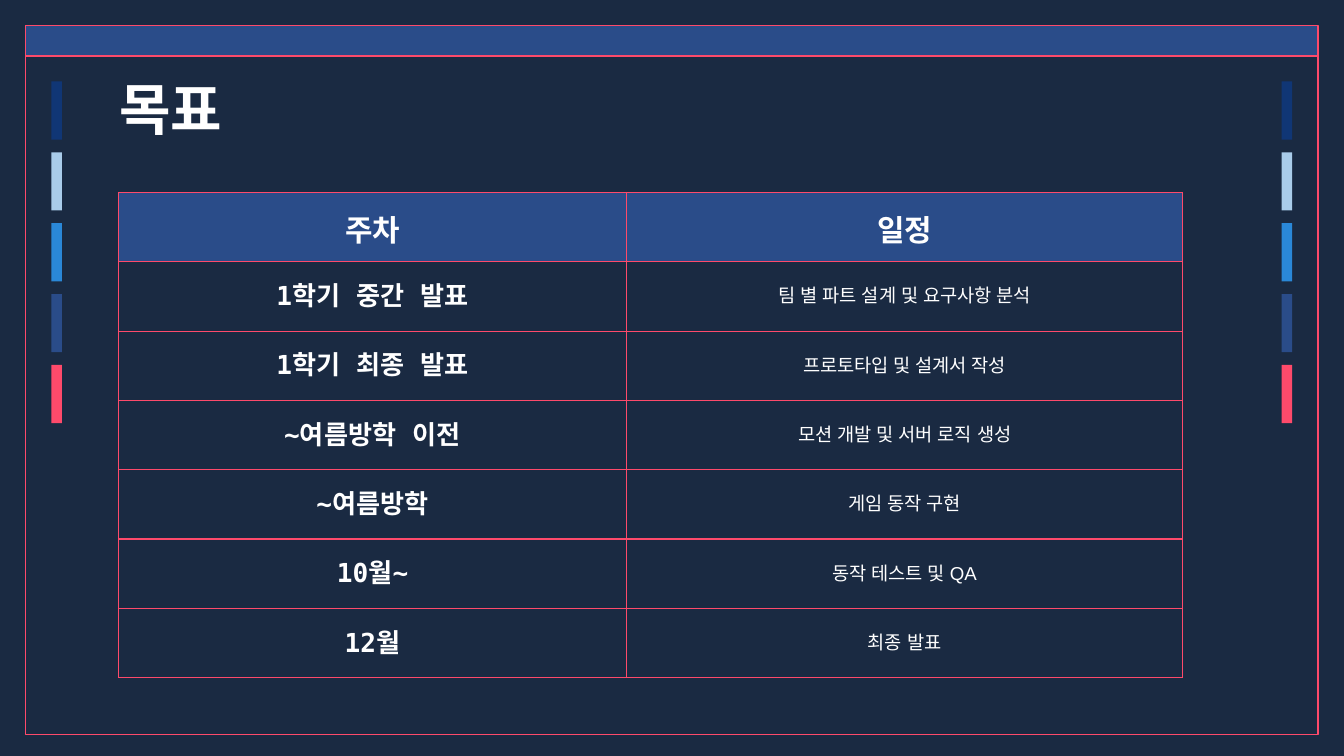
"""Build the project goals slide with its schedule table."""
import dataclasses

import lxml.etree
import pptx
import pptx.dml.color
import pptx.enum.shapes
import pptx.enum.text
import pptx.oxml.ns
import pptx.util
from pptx.util import Cm


@dataclasses.dataclass(frozen=True)
class Theme:
    background: str = "1A2A42"
    header: str = "2A4C89"
    line: str = "FE4A6B"
    text: str = "FFFFFF"
    bars: tuple = ("103675", "A9CCEA", "2A88D8", "2A4C89", "FE4A6B")
    heading_font: str = "DejaVu Sans Mono"
    body_font: str = "Arial"
    title_size: int = 30
    header_size: int = 16
    period_size: int = 14
    body_size: int = 10
    line_width: float = 0.75


theme = Theme()
color = pptx.dml.color.RGBColor.from_string


def add_rectangle(left, top, width, height, fill, line=None):
    shape = slide.shapes.add_shape(
        pptx.enum.shapes.MSO_SHAPE.RECTANGLE, Cm(left), Cm(top), Cm(width), Cm(height)
    )
    shape.shadow.inherit = False
    shape.fill.solid()
    shape.fill.fore_color.rgb = color(fill)
    if line:
        shape.line.color.rgb = color(line)
        shape.line.width = pptx.util.Pt(theme.line_width)
    else:
        shape.line.fill.background()


def write(text_frame, text, size, font, bold, alignment):
    paragraph = text_frame.paragraphs[0]
    paragraph.alignment = alignment
    run = paragraph.add_run()
    run.text = text
    run.font.size = pptx.util.Pt(size)
    run.font.name = font
    run.font.bold = bold
    run.font.color.rgb = color(theme.text)
    lxml.etree.SubElement(run._r.get_or_add_rPr(), pptx.oxml.ns.qn("a:ea"), typeface=font)


presentation = pptx.Presentation()
presentation.slide_width = Cm(25.4)
presentation.slide_height = Cm(14.29)
slide = presentation.slides.add_slide(presentation.slide_layouts[5])
slide.background.fill.solid()
slide.background.fill.fore_color.rgb = color(theme.background)

add_rectangle(0.48, 0.97, 24.43, 12.92, theme.background, theme.line)
add_rectangle(0.48, 0.48, 24.43, 0.58, theme.header, theme.line)
for left in (0.97, 24.22):
    for index, bar_color in enumerate(theme.bars):
        add_rectangle(left, 1.54 + 1.34 * index, 0.2, 1.1, bar_color)

title = slide.shapes.title
slide.shapes._spTree.append(title._element)
title.left, title.top, title.width, title.height = Cm(2), Cm(1.25), Cm(21.4), Cm(1.6)
title_frame = title.text_frame
title_frame.auto_size = pptx.enum.text.MSO_AUTO_SIZE.NONE
title_frame.vertical_anchor = pptx.enum.text.MSO_ANCHOR.MIDDLE
title_frame.margin_left = title_frame.margin_right = Cm(0.25)
title_frame.margin_top = title_frame.margin_bottom = Cm(0.25)
write(title_frame, "목표", theme.title_size, theme.heading_font, True,
      pptx.enum.text.PP_ALIGN.LEFT)

schedule = [
    ("주차", "일정"),
    ("1학기 중간 발표", "팀 별 파트 설계 및 요구사항 분석"),
    ("1학기 최종 발표", "프로토타입 및 설계서 작성"),
    ("~여름방학 이전", "모션 개발 및 서버 로직 생성"),
    ("~여름방학", "게임 동작 구현"),
    ("10월~", "동작 테스트 및 QA"),
    ("12월", "최종 발표"),
]
column_widths = (9.6, 10.51)
row_height = 1.31
table = slide.shapes.add_table(
    len(schedule), len(column_widths), Cm(2.24), Cm(3.64),
    Cm(sum(column_widths)), Cm(row_height * len(schedule)),
).table
table.first_row = table.horz_banding = False
for column, width in zip(table.columns, column_widths):
    column.width = Cm(width)

for row_index, entries in enumerate(schedule):
    table.rows[row_index].height = Cm(row_height)
    is_header = row_index == 0
    for column_index, text in enumerate(entries):
        cell = table.cell(row_index, column_index)
        cell.margin_left = cell.margin_right = Cm(0.25)
        cell.margin_top = cell.margin_bottom = Cm(0.25)
        cell.vertical_anchor = (
            pptx.enum.text.MSO_ANCHOR.BOTTOM if is_header else pptx.enum.text.MSO_ANCHOR.MIDDLE
        )
        properties = cell._tc.get_or_add_tcPr()
        for side in ("a:lnL", "a:lnR", "a:lnT", "a:lnB"):
            border = lxml.etree.SubElement(
                properties, pptx.oxml.ns.qn(side), w=str(pptx.util.Pt(theme.line_width))
            )
            border_fill = lxml.etree.SubElement(border, pptx.oxml.ns.qn("a:solidFill"))
            lxml.etree.SubElement(border_fill, pptx.oxml.ns.qn("a:srgbClr"), val=theme.line)
        if is_header:
            cell.fill.solid()
            cell.fill.fore_color.rgb = color(theme.header)
            size = theme.header_size
        else:
            cell.fill.background()
            size = theme.body_size if column_index else theme.period_size
        is_bold = is_header or column_index == 0
        font = theme.heading_font if is_bold else theme.body_font
        write(cell.text_frame, text, size, font, is_bold, pptx.enum.text.PP_ALIGN.CENTER)

presentation.save("out.pptx")
